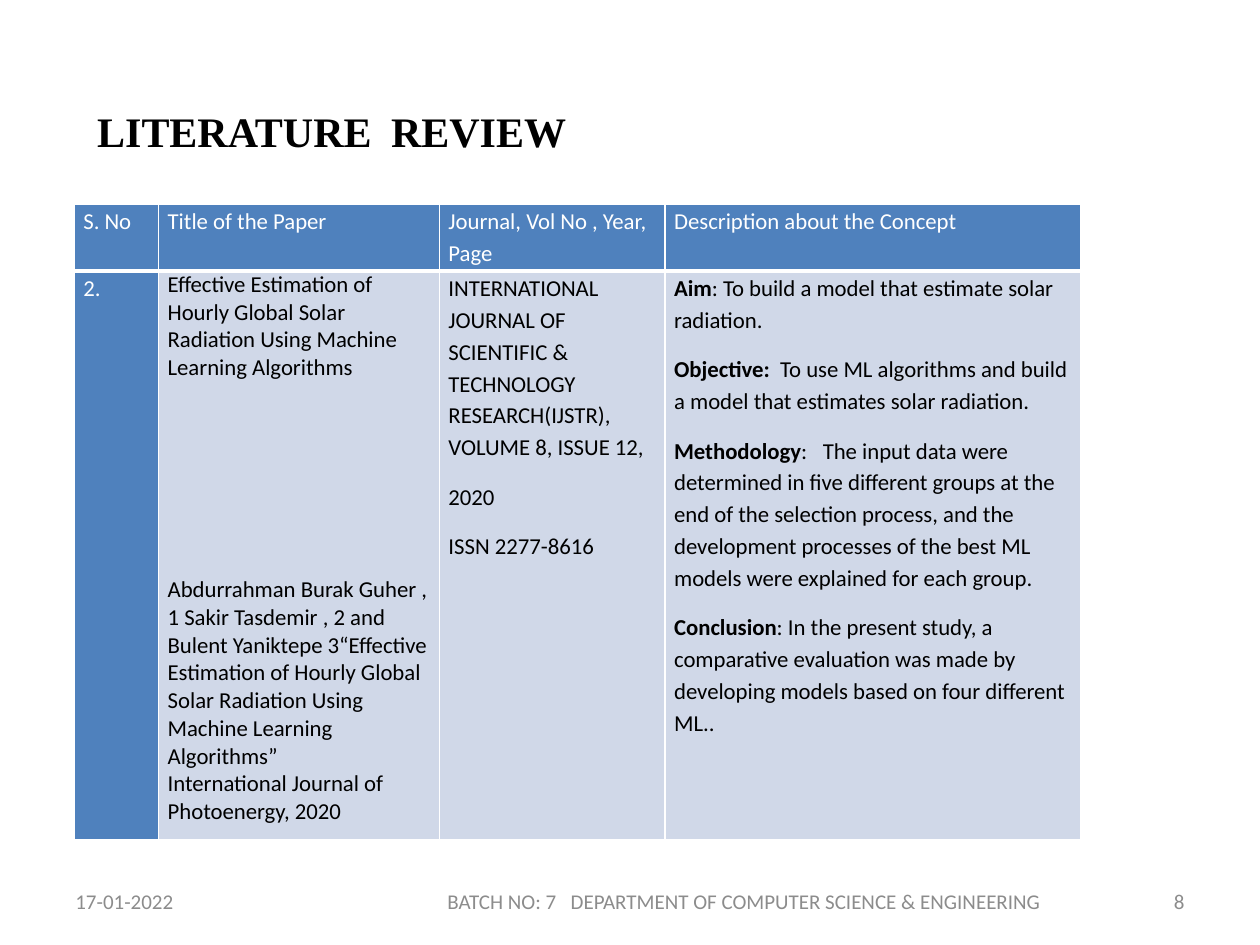
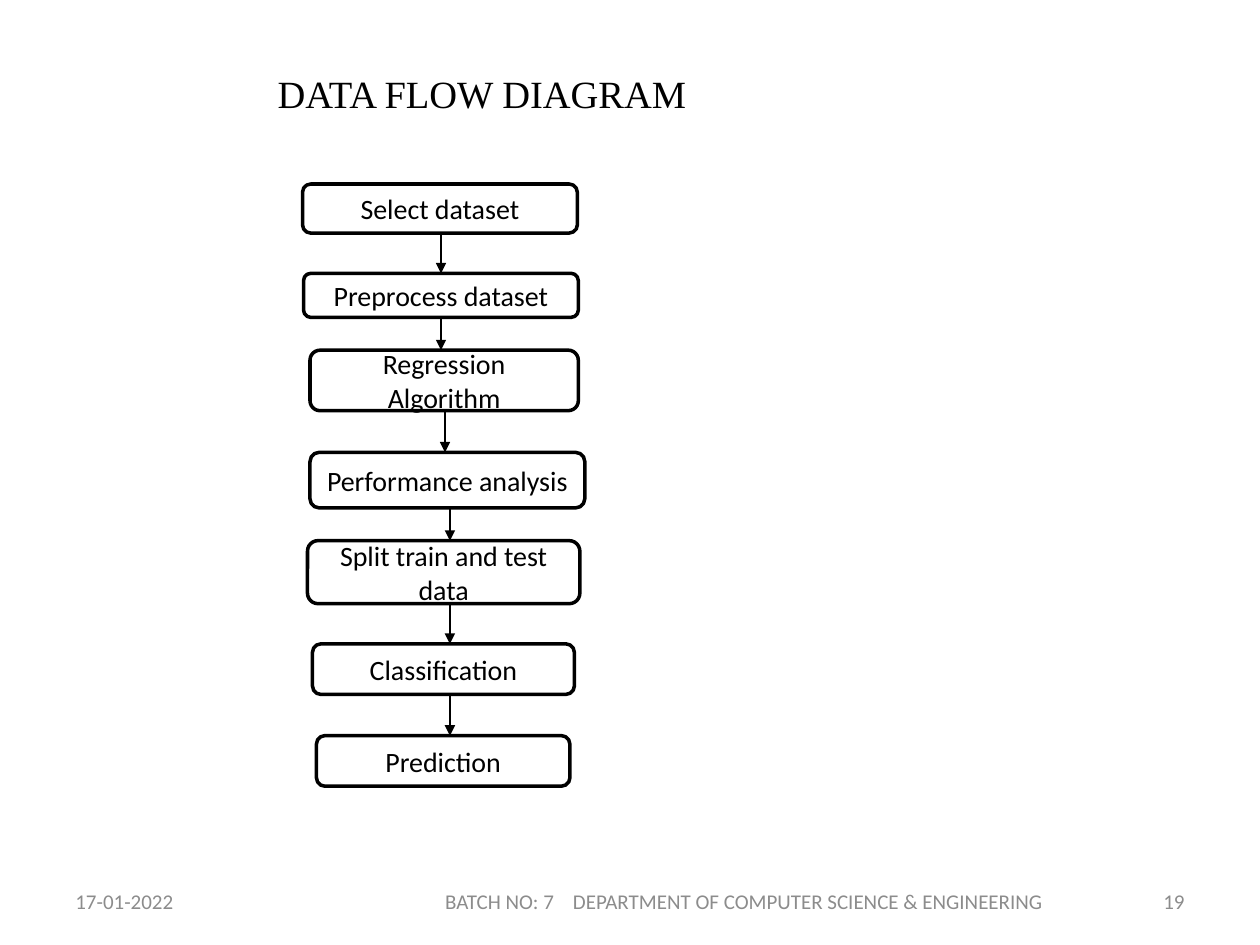
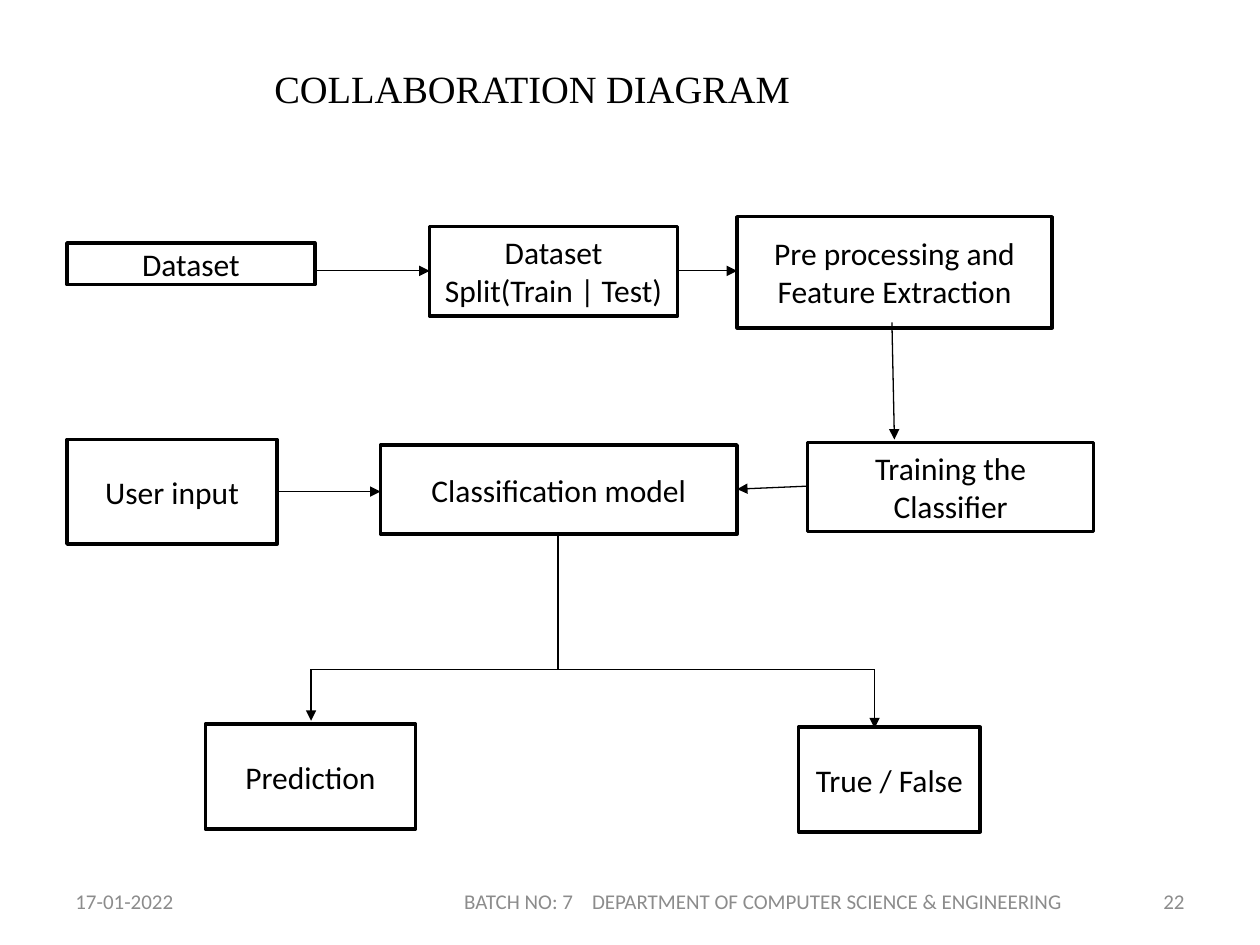
from dataclasses import dataclass
from itertools import pairwise

from lxml import etree
from pptx import Presentation
from pptx import util as u
from pptx.dml.color import RGBColor
from pptx.enum import shapes, text
from pptx.oxml.ns import qn


@dataclass(frozen=True)
class Theme:
    ink: str = "000000"
    paper: str = "FFFFFF"
    muted: str = "8C8C8C"
    header: str = "4F81BD"
    row: str = "D0D8E8"
    body_font: str = "Calibri"
    title_font: str = "Times New Roman"
    review_title_size: float = 24
    diagram_title_size: float = 22
    footer_size: float = 12
    table_size: float = 13
    flow_size: float = 16
    collaboration_size: float = 18
    outline: float = 2
    arrow: float = 0.75


THEME = Theme()
LEFT, CENTER, RIGHT = text.PP_ALIGN.LEFT, text.PP_ALIGN.CENTER, text.PP_ALIGN.RIGHT
RECT, ROUNDED = shapes.MSO_SHAPE.RECTANGLE, shapes.MSO_SHAPE.ROUNDED_RECTANGLE


def rgb(value):
    return RGBColor.from_string(value)


def cm(*values):
    return [u.Cm(value) for value in values]


def gap(points):
    """One space widened by the given number of points."""
    return " ", {"spacing": points}


def bold(words):
    return words, {"bold": True}


def write(frame, *spans, align=LEFT, before=0, after=0, leading=1.0, **look):
    """Add one paragraph; a span is a string or a (string, format) pair."""
    para = frame.add_paragraph() if frame.text else frame.paragraphs[0]
    para.alignment, para.line_spacing = align, leading
    para.space_before, para.space_after = u.Pt(before), u.Pt(after)
    for item in spans:
        words, extra = (item, {}) if isinstance(item, str) else item
        style = {"font": THEME.body_font, "color": THEME.ink, "bold": False,
                 "spacing": 0, **look, **extra}
        span = para.add_run()
        span.text = words
        span.font.name = style["font"]
        span.font.size = u.Pt(style["size"])
        span.font.bold = style["bold"]
        span.font.color.rgb = rgb(style["color"])
        if style["spacing"]:
            span.font._element.set("spc", str(round(style["spacing"] * 100)))


def add_label(page, at, *spans, **look):
    frame = page.shapes.add_textbox(*cm(*at)).text_frame
    frame.word_wrap = True
    frame.vertical_anchor = text.MSO_ANCHOR.MIDDLE
    write(frame, *spans, **look)


def add_title(page, at, *spans, **look):
    add_label(page, at, *spans, font=THEME.title_font, **look)


def add_footer(page, number, batch_width=12.62, batch_gap=8):
    look = {"size": THEME.footer_size, "color": THEME.muted}
    top, height = 17.65, 1.02
    add_label(page, (1.27, top, 5.92, height), "17-01-2022", **look)
    add_label(page, (8.69, top, batch_width, height), "BATCH NO: 7", gap(batch_gap),
              "DEPARTMENT OF COMPUTER SCIENCE & ENGINEERING", align=CENTER, **look)
    add_label(page, (18.21, top, 5.92, height), str(number), align=RIGHT, **look)


def add_node(page, kind, at, *lines, size):
    box = page.shapes.add_shape(kind, *cm(*at))
    box.shadow.inherit = False
    box.fill.solid()
    box.fill.fore_color.rgb = rgb(THEME.paper)
    box.line.color.rgb = rgb(THEME.ink)
    box.line.width = u.Pt(THEME.outline)
    frame = box.text_frame
    frame.word_wrap = True
    frame.vertical_anchor = text.MSO_ANCHOR.MIDDLE
    for line in lines:
        write(frame, line, align=CENTER, size=size)


def add_line(page, *ends, arrow=True):
    line = page.shapes.add_connector(shapes.MSO_CONNECTOR.STRAIGHT, *cm(*ends))
    line.line.color.rgb = rgb(THEME.ink)
    line.line.width = u.Pt(THEME.arrow)
    if arrow:
        etree.SubElement(line.line._get_or_add_ln(), qn("a:tailEnd"), type="triangle")
    etree.SubElement(line._element.spPr, qn("a:effectLst"))


def style_cell(cell, fill, bottom=1):
    """Set margins, white borders and fill; the bottom border width is in points."""
    cell.margin_left = cell.margin_right = u.Cm(0.18)
    cell.margin_top = cell.margin_bottom = 0
    properties = cell._tc.get_or_add_tcPr()
    for side, width in (("L", 1), ("R", 1), ("T", 1), ("B", bottom)):
        border = etree.SubElement(properties, qn(f"a:ln{side}"), w=str(u.Pt(width)))
        paint = etree.SubElement(border, qn("a:solidFill"))
        etree.SubElement(paint, qn("a:srgbClr"), val=THEME.paper)
    cell.fill.solid()
    cell.fill.fore_color.rgb = rgb(fill)


def add_review_table(page):
    widths, heights = (1.7, 5.66, 4.55, 8.38), (1.35, 11.46)
    table = page.shapes.add_table(
        2, 4, *cm(1.5, 4.11, sum(widths), sum(heights))).table
    table.first_row = table.horz_banding = False
    for column, width in zip(table.columns, widths):
        column.width = u.Cm(width)
    for row, height in zip(table.rows, heights):
        row.height = u.Cm(height)

    plain = {"size": THEME.table_size}
    spaced = {**plain, "leading": 1.15, "after": 10}
    headings = ("S. No", "Title of the Paper", "Journal, Vol No , Year, Page",
                "Description about the Concept")
    for column, heading in enumerate(headings):
        cell = table.cell(0, column)
        style_cell(cell, THEME.header, bottom=3)
        write(cell.text_frame, heading, color=THEME.paper, **spaced)

    number, paper, journal, concept = (table.cell(1, column) for column in range(4))
    style_cell(number, THEME.header)
    for cell in (paper, journal, concept):
        style_cell(cell, THEME.row)
    write(number.text_frame, "2.", color=THEME.paper, **spaced)

    write(paper.text_frame, "Effective Estimation of Hourly Global Solar Radiation "
          "Using Machine Learning Algorithms", **plain)
    write(paper.text_frame, "Abdurrahman Burak Guher , 1 Sakir Tasdemir , 2 and Bulent "
          "Yaniktepe 3“Effective Estimation of Hourly Global Solar Radiation Using "
          "Machine Learning Algorithms”", before=111, **plain)
    write(paper.text_frame, "International Journal of Photoenergy, 2020", **plain)

    for line in ("INTERNATIONAL JOURNAL OF SCIENTIFIC & TECHNOLOGY RESEARCH(IJSTR), "
                 "VOLUME 8, ISSUE 12,", "2020", "ISSN 2277-8616"):
        write(journal.text_frame, line, **spaced)

    for spans in (
        (bold("Aim"), ": To build a model that estimate solar radiation."),
        (bold("Objective:"), gap(3),
         "To use ML algorithms and build a model that estimates solar radiation."),
        (bold("Methodology"), ":", gap(6),
         "The input data were determined in five different groups at the end of the "
         "selection process, and the development processes of the best ML models were "
         "explained for each group."),
        (bold("Conclusion"), ": In the present study, a comparative evaluation was made "
         "by developing models based on four different ML.."),
    ):
        write(concept.text_frame, *spans, **spaced)


def build_review(page):
    add_title(page, (1.71, 0.76, 22.42, 3.18), "LITERATURE", (" ", {"size": 44}),
              "REVIEW", size=THEME.review_title_size, bold=True)
    add_review_table(page)
    add_footer(page, 8, batch_gap=5.4)


def build_data_flow(page):
    add_title(page, (5.35, 1.37, 12, 1.02), "DATA FLOW DIAGRAM",
              size=THEME.diagram_title_size)
    steps = [
        ((6.1, 3.71, 5.54, 0.99), "Select dataset"),
        ((6.12, 5.51, 5.54, 0.89), "Preprocess dataset"),
        ((6.25, 7.06, 5.41, 1.22), "Regression", "Algorithm"),
        ((6.25, 9.12, 5.54, 1.12), "Performance analysis"),
        ((6.2, 10.9, 5.49, 1.27), "Split train and test data"),
        ((6.3, 12.98, 5.28, 1.02), "Classification"),
        ((6.38, 14.83, 5.11, 1.02), "Prediction"),
    ]
    for at, *lines in steps:
        add_node(page, ROUNDED, at, *lines, size=THEME.flow_size)
    arrow_lefts = (8.89, 8.89, 8.97, 9.07, 9.07, 9.07)
    for x, ((upper, *_), (lower, *_)) in zip(arrow_lefts, pairwise(steps)):
        add_line(page, x, upper[1] + upper[3], x, lower[1])
    add_footer(page, 19)


def build_collaboration(page):
    add_title(page, (5.28, 1.19, 17.12, 1.19), "COLLABORATION DIAGRAM",
              size=THEME.diagram_title_size)
    for at, name in (
        ((1.35, 4.9, 5, 0.84), "Dataset"),
        ((8.66, 4.57, 5, 1.8), "Dataset Split(Train | Test)"),
        ((14.86, 4.37, 6.35, 2.24), "Pre processing and Feature Extraction"),
        ((16.28, 8.92, 5.77, 1.8), "Training the Classifier"),
        ((7.67, 8.97, 7.19, 1.8), "Classification model"),
        ((1.35, 8.86, 4.24, 2.11), "User input"),
        ((4.14, 14.6, 4.24, 2.11), "Prediction"),
        ((16.1, 14.66, 3.66, 2.11), "True / False"),
    ):
        add_node(page, RECT, at, name, size=THEME.collaboration_size)

    data_y, input_y = 5.46, 9.91
    add_line(page, 6.35, data_y, 8.66, data_y)
    add_line(page, 13.66, data_y, 14.86, data_y)
    add_line(page, 17.98, 6.5, 18.03, 8.86)
    add_line(page, 16.28, 9.8, 14.86, 9.86)
    add_line(page, 5.59, input_y, 7.67, input_y)

    stem_x, fork_y, prediction_x, result_x = 11.25, 13.49, 6.27, 17.63
    add_line(page, stem_x, 10.75, stem_x, fork_y, arrow=False)
    add_line(page, prediction_x, fork_y, result_x, fork_y, arrow=False)
    add_line(page, prediction_x, fork_y, prediction_x, 14.53)
    add_line(page, result_x, fork_y, result_x, 14.68)
    add_footer(page, 22, batch_width=13.39)


def main():
    deck = Presentation()
    deck.slide_width, deck.slide_height = cm(25.4, 19.05)
    blank = deck.slide_layouts[6]
    for build in (build_review, build_data_flow, build_collaboration):
        build(deck.slides.add_slide(blank))
    deck.save("out.pptx")


if __name__ == "__main__":
    main()
